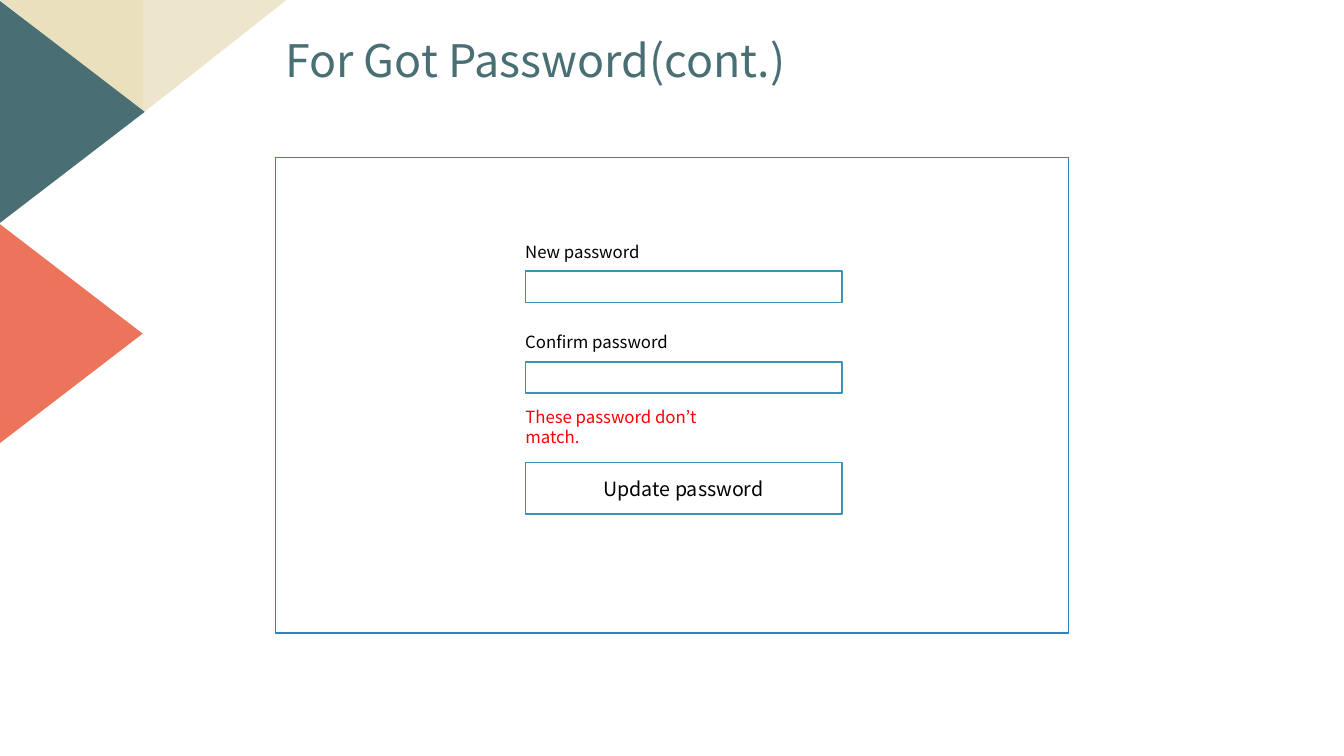
from pptx import Presentation
from pptx.dml.color import RGBColor
from pptx.enum import shapes, text
from pptx.util import Inches, Pt

FONT = "Noto Sans CJK KR"
WHITE = RGBColor(0xFF, 0xFF, 0xFF)
BLACK = RGBColor(0x00, 0x00, 0x00)
RED = RGBColor(0xFF, 0x00, 0x00)
TEAL = RGBColor(0x49, 0x6F, 0x74)
CORAL = RGBColor(0xEC, 0x74, 0x5B)
SAND = RGBColor(0xEA, 0xE0, 0xBE)
PALE_SAND = RGBColor(0xEE, 0xE6, 0xCC)
PANEL_BLUE = RGBColor(0x26, 0x83, 0xC6)
FIELD_BLUE = RGBColor(0x34, 0x94, 0xBA)
RIGHT_TRIANGLE = shapes.MSO_SHAPE.RIGHT_TRIANGLE
TRIANGLE = shapes.MSO_SHAPE.ISOSCELES_TRIANGLE
FORM_LEFT, FORM_WIDTH, ROW_HEIGHT = 5.21, 3.14, 0.31


def add_filled(kind, left, top, width, height, fill, line=None):
    shape = slide.shapes.add_shape(
        kind, Inches(left), Inches(top), Inches(width), Inches(height))
    shape.shadow.inherit = False
    shape.fill.solid()
    shape.fill.fore_color.rgb = fill
    if line is None:
        shape.line.fill.background()
    else:
        shape.line.color.rgb = line
        shape.line.width = Pt(1)
    return shape


def add_words(paragraph, words, size, color):
    run = paragraph.add_run()
    run.text = words
    run.font.name = FONT
    run.font.size = Pt(size)
    run.font.color.rgb = color


deck = Presentation()
deck.slide_width = Inches(13.33)
deck.slide_height = Inches(7.5)
slide = deck.slides.add_slide(deck.slide_layouts[5])

for kind, left, top, width, height, turn, color in (
    (RIGHT_TRIANGLE, 0, 0, 1.42, 1.12, 180, SAND),
    (RIGHT_TRIANGLE, 1.42, 0, 1.42, 1.12, 180, PALE_SAND),
    (TRIANGLE, -0.39, 0.39, 2.21, 1.44, 90, TEAL),
    (TRIANGLE, -0.41, 2.59, 2.21, 1.44, 90, CORAL),
):
    corner = add_filled(kind, left, top, width, height, color)
    corner.rotation = turn
    if color == PALE_SAND:
        corner._element.spPr.xfrm.set("flipH", "1")

heading = slide.shapes.title
heading.left, heading.top = Inches(2.73), Inches(0.33)
heading.width, heading.height = Inches(6.06), Inches(0.59)
heading.text_frame.vertical_anchor = text.MSO_ANCHOR.TOP
heading.text_frame.auto_size = text.MSO_AUTO_SIZE.NONE
heading_line = heading.text_frame.paragraphs[0]
heading_line.alignment = text.PP_ALIGN.LEFT
heading_line.line_spacing = 0.9
heading_line.space_before = Pt(10)
add_words(heading_line, "For Got Password(cont.)", 32, TEAL)

add_filled(shapes.MSO_SHAPE.RECTANGLE, 2.73, 1.56, 7.87, 4.72, WHITE, PANEL_BLUE)

for field_top in (2.69, 3.59):
    add_filled(shapes.MSO_SHAPE.RECTANGLE, FORM_LEFT, field_top,
               FORM_WIDTH, ROW_HEIGHT, WHITE, FIELD_BLUE)

for words, top, width, color in (
    ("New password", 2.34, FORM_WIDTH, BLACK),
    ("Confirm password", 3.24, FORM_WIDTH, BLACK),
    ("These password don’t match.", 4.08, 2.15, RED),
):
    label = slide.shapes.add_textbox(
        Inches(FORM_LEFT), Inches(top), Inches(width), Inches(ROW_HEIGHT)).text_frame
    label.word_wrap = True
    label.margin_left = 0
    label.vertical_anchor = text.MSO_ANCHOR.MIDDLE
    add_words(label.paragraphs[0], words, 12, color)

update_button = add_filled(shapes.MSO_SHAPE.RECTANGLE, FORM_LEFT, 4.59,
                           FORM_WIDTH, 0.51, WHITE, FIELD_BLUE)
update_button.text_frame.vertical_anchor = text.MSO_ANCHOR.MIDDLE
button_line = update_button.text_frame.paragraphs[0]
button_line.alignment = text.PP_ALIGN.CENTER
add_words(button_line, "Update password", 14, BLACK)

deck.save("out.pptx")
